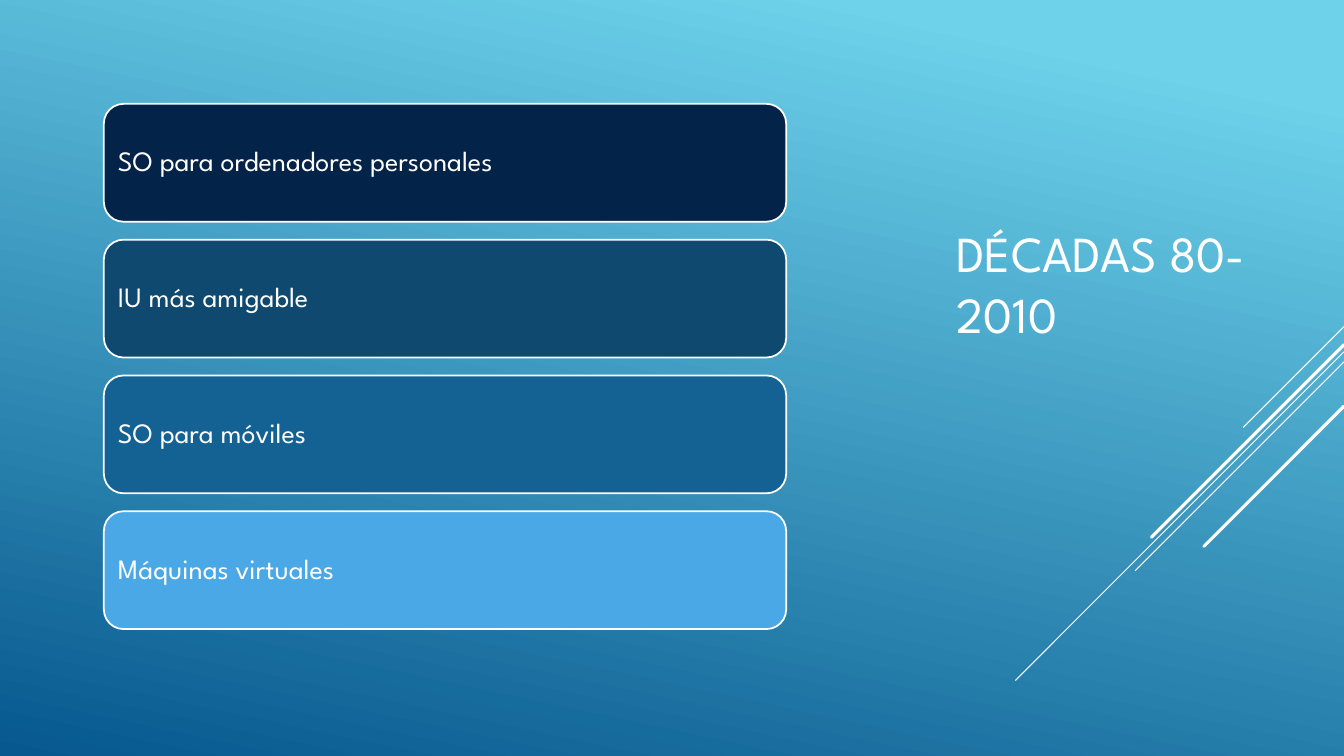
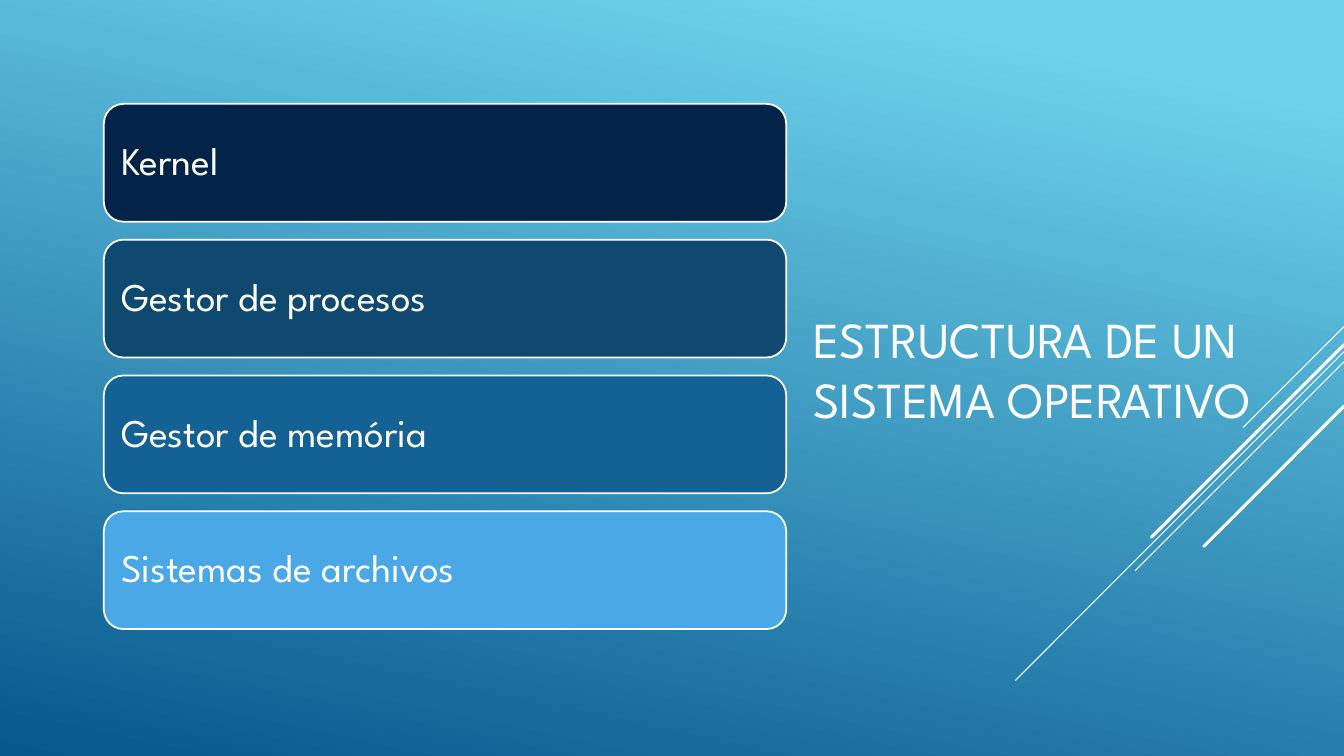
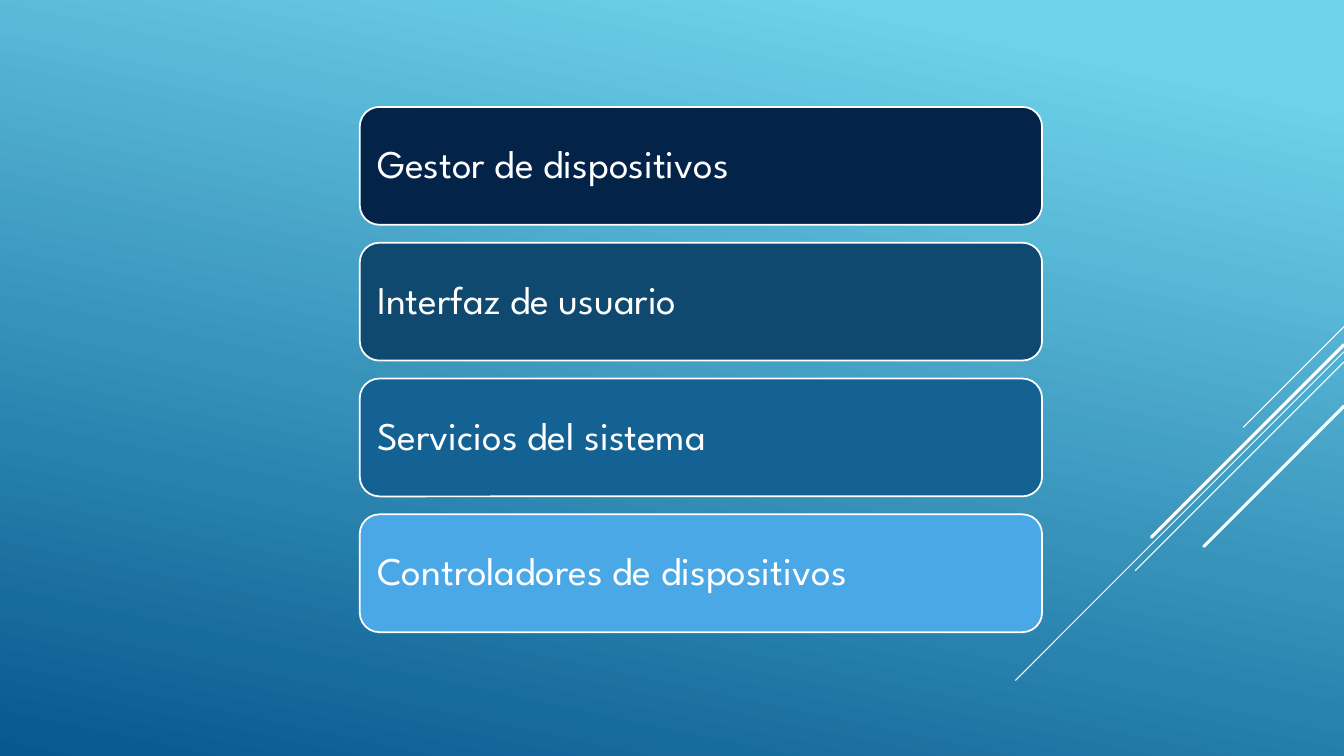
from lxml.etree import SubElement
from pptx import Presentation
from pptx.dml.color import RGBColor
from pptx.enum.shapes import MSO_CONNECTOR, MSO_SHAPE
from pptx.enum.text import MSO_ANCHOR, PP_ALIGN
from pptx.oxml.ns import qn
from pptx.util import Pt

FONT = "League Spartan"
COLORS = {
    "sky": "6ED2EB",
    "deep": "06588E",
    "white": "FFFFFF",
    "navy": "042349",
    "petrol": "0F496F",
    "blue": "146194",
    "light": "4AA8E7",
}
BOX_FILLS = ["navy", "petrol", "blue", "light"]
BOX_W, BOX_H, BOX_PITCH = 487.4, 84.2, 97
DIAGONALS = [
    (233.3, 72, 0.75),
    (251.3, 234.7, 0.75),
    (258.5, 149.2, 0.75),
    (246.2, 137.5, 2.25),
    (290.2, 100.1, 2.25),
]
SLIDES = [
    {
        "title": ("DÉCADAS 80-2010", 676, 74.2, 240, 255.6),
        "origin": (74.2, 74.2),
        "size": 20,
        "boxes": ["SO para ordenadores personales", "IU más amigable",
                  "SO para móviles", "Máquinas virtuales"],
    },
    {
        "title": ("ESTRUCTURA DE UN SISTEMA OPERATIVO", 573.8, 203.8, 379.4, 118.8),
        "origin": (74.2, 74.2),
        "size": 28,
        "boxes": ["Kernel", "Gestor de procesos",
                  "Gestor de memória", "Sistemas de archivos"],
    },
    {
        "title": None,
        "origin": (257, 76.4),
        "size": 28,
        "boxes": ["Gestor de dispositivos", "Interfaz de usuario",
                  "Servicios del sistema", "Controladores de dispositivos"],
    },
]


def rgb(name):
    return RGBColor.from_string(COLORS[name])


def write(tf, text, size):
    tf.word_wrap = True
    tf.vertical_anchor = MSO_ANCHOR.MIDDLE
    tf.text = text
    p = tf.paragraphs[0]
    p.alignment = PP_ALIGN.LEFT
    r = p.runs[0]
    r.font.name = FONT
    r.font.size = Pt(size)
    r.font.color.rgb = rgb("white")
    return p


prs = Presentation()
prs.slide_width, prs.slide_height = Pt(960), Pt(540)

fill = prs.slide_master.background.fill
fill.gradient()
fill.gradient_angle = 360 - 102
for stop, name, position in zip(fill.gradient_stops, ["sky", "deep"], [0.1, 1]):
    stop.color.rgb = rgb(name)
    stop.position = position

for data in SLIDES:
    s = prs.slides.add_slide(prs.slide_layouts[6])

    for y, run, weight in DIAGONALS:
        line = s.shapes.add_connector(
            MSO_CONNECTOR.STRAIGHT, Pt(960), Pt(y), Pt(960 - run), Pt(y + run))
        line.line.color.rgb = rgb("white")
        line.line.width = Pt(weight)
        sp_pr = line._element.spPr
        if weight > 1:
            sp_pr.find(qn("a:ln")).set("cap", "rnd")
        SubElement(sp_pr, qn("a:effectLst"))

    if data["title"]:
        text, *bounds = data["title"]
        title = s.shapes.add_textbox(*map(Pt, bounds))
        write(title.text_frame, text, 36)

    left, top = data["origin"]
    for i, (text, name) in enumerate(zip(data["boxes"], BOX_FILLS)):
        box = s.shapes.add_shape(
            MSO_SHAPE.ROUNDED_RECTANGLE,
            Pt(left), Pt(top + i * BOX_PITCH), Pt(BOX_W), Pt(BOX_H))
        box.shadow.inherit = False
        box.fill.solid()
        box.fill.fore_color.rgb = rgb(name)
        box.line.color.rgb = rgb("white")
        box.line.width = Pt(1.25)
        tf = box.text_frame
        inset = Pt(data["size"] * 0.3)
        tf.margin_left = tf.margin_right = inset
        tf.margin_top = tf.margin_bottom = inset
        p = write(tf, text, data["size"])
        p.line_spacing = 0.9

prs.save("out.pptx")
